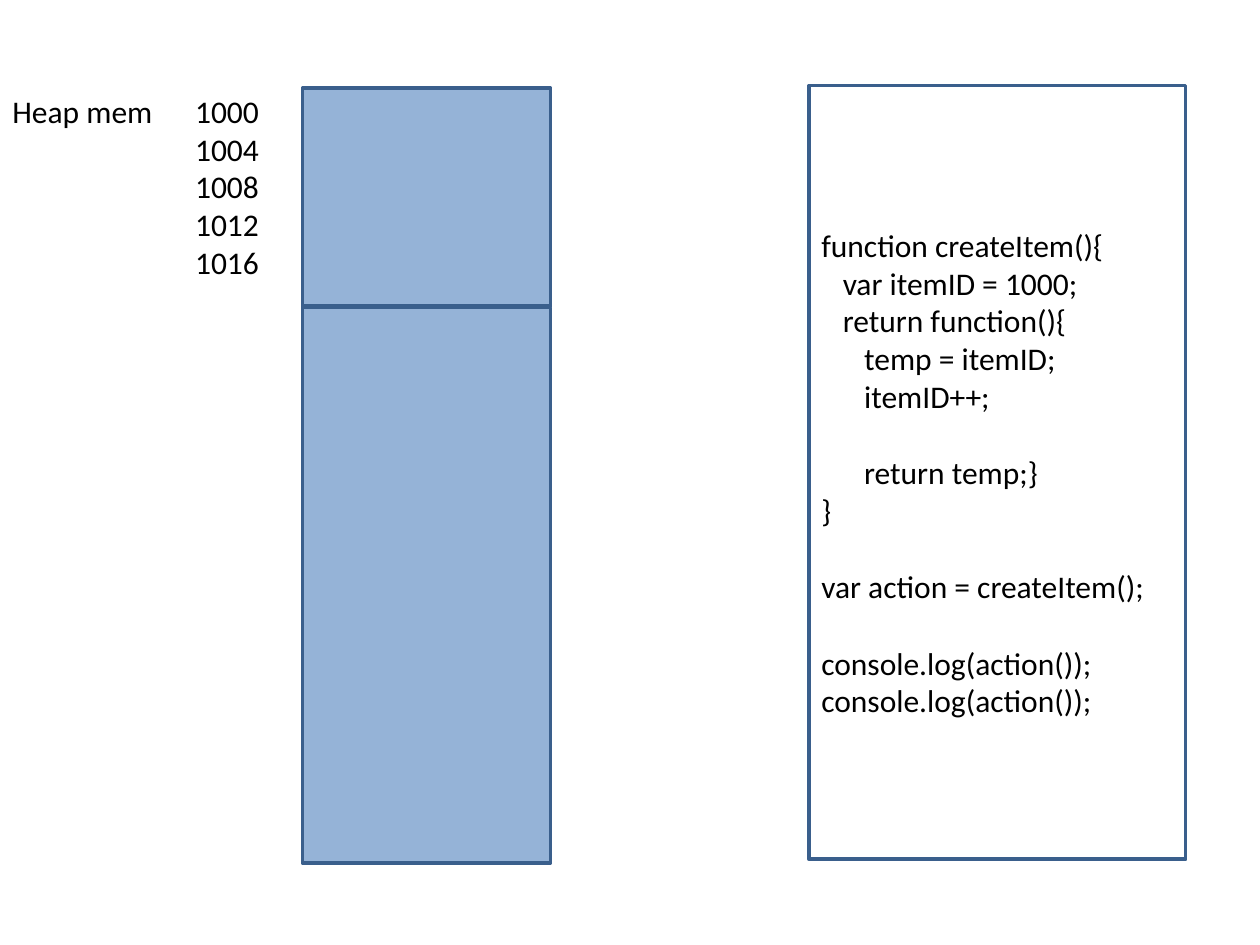
"""Build a slide that shows heap memory beside a JavaScript closure."""
from pptx import Presentation
from pptx.dml.color import RGBColor
from pptx.enum.shapes import MSO_SHAPE
from pptx.enum.text import MSO_ANCHOR, PP_ALIGN
from pptx.util import Inches, Pt


def add_box(left, top, width, height, fill, line):
    box = slide.shapes.add_shape(
        MSO_SHAPE.RECTANGLE, Inches(left), Inches(top), Inches(width), Inches(height))
    box.shadow.inherit = False
    box.fill.solid()
    box.fill.fore_color.rgb = RGBColor.from_string(fill)
    box.line.color.rgb = RGBColor.from_string(line)
    box.line.width = Pt(2)
    return box


def write_lines(box, lines, anchor):
    frame = box.text_frame
    frame.word_wrap = True
    frame.vertical_anchor = anchor
    frame.text = "\n".join(text for text, *_ in lines)
    for paragraph, (_, margin, indent, gap) in zip(frame.paragraphs, lines):
        paragraph.alignment = PP_ALIGN.LEFT
        paragraph.space_before = Pt(gap)
        properties = paragraph._p.get_or_add_pPr()
        properties.set("marL", str(Inches(margin)))
        properties.set("indent", str(Inches(indent)))
        for run in paragraph.runs:
            run.font.size = Pt(18)
            run.font.name = "Calibri"
            run.font.color.rgb = RGBColor.from_string("000000")


WHITE, BLUE, OUTLINE = "FFFFFF", "95B3D7", "3A5F8C"
LINE_GAP = 22
CODE_STEP = 0.17
ADDRESS_COLUMN = 1.45

presentation = Presentation()
presentation.slide_width = Inches(10)
presentation.slide_height = Inches(7.5)
slide = presentation.slides.add_slide(presentation.slide_layouts[6])

code = [
    ("function createItem(){", 0, 0),
    ("var itemID = 1000;", 1, 0),
    ("return function(){", 1, 0),
    ("temp = itemID;", 2, 0),
    ("itemID++;", 2, 0),
    ("return temp;}", 2, LINE_GAP),
    ("}", 0, 0),
    ("var action = createItem();", 0, LINE_GAP),
    ("console.log(action());", 0, LINE_GAP),
    ("console.log(action());", 0, 0),
]
code_panel = add_box(6.42, 0.68, 2.99, 6.14, WHITE, OUTLINE)
write_lines(code_panel,
            [(text, level * CODE_STEP, 0, gap) for text, level, gap in code],
            MSO_ANCHOR.MIDDLE)

for top, height in [(0.7, 1.73), (2.44, 4.41)]:
    add_box(2.4, top, 1.97, height, BLUE, OUTLINE)

addresses = [("Heap mem\t1000", ADDRESS_COLUMN, -ADDRESS_COLUMN, 0)]
addresses += [(str(address), ADDRESS_COLUMN, 0, 0) for address in range(1004, 1020, 4)]
heap_labels = add_box(0, 0.68, 2.32, 1.73, WHITE, WHITE)
write_lines(heap_labels, addresses, MSO_ANCHOR.TOP)

presentation.save("out.pptx")
